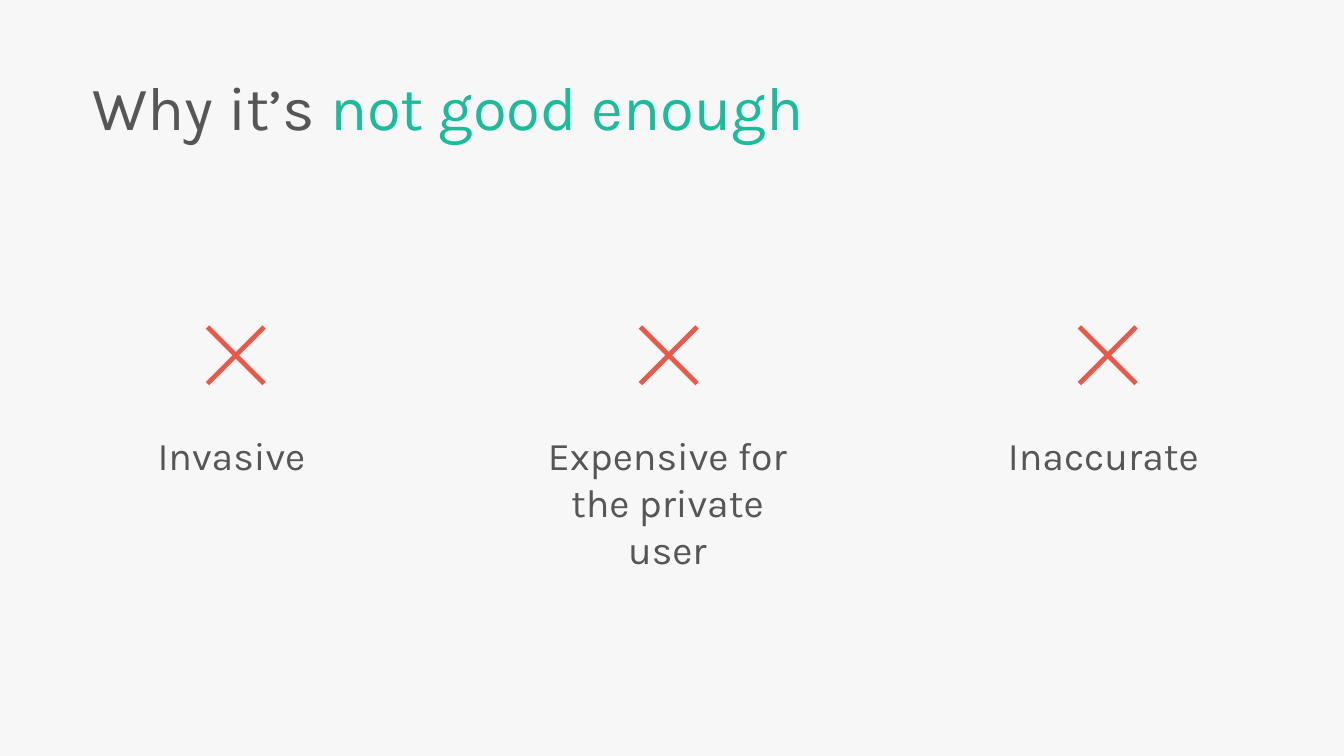
import pptx
import pptx.dml.color
import pptx.enum.text
import pptx.util

Pt = pptx.util.Pt
RGBColor = pptx.dml.color.RGBColor
PP_ALIGN = pptx.enum.text.PP_ALIGN

PAPER = RGBColor(0xF7, 0xF7, 0xF7)
INK = RGBColor(0x56, 0x56, 0x56)
GREEN = RGBColor(0x1A, 0xBC, 0x9C)
RED = RGBColor(0xE9, 0x58, 0x49)

COLUMN_LEFT, COLUMN_TOP, COLUMN_WIDTH, COLUMN_HEIGHT = 66.24, 232.5, 205.2, 149
COLUMN_PITCH = 311.4
DRAWBACKS = [
    ("Invasive", 102.24),
    ("Expensive for the private user", 100.08),
    ("Inaccurate", 102.24),
]


def add_span(para, text, size=28, color=INK):
    span = para.add_run()
    span.text = text
    span.font.name = "Karla"
    span.font.size = Pt(size)
    span.font.color.rgb = color


def prepare_frame(box, align):
    frame = box.text_frame
    frame.word_wrap = True
    frame.auto_size = pptx.enum.text.MSO_AUTO_SIZE.NONE
    frame.vertical_anchor = pptx.enum.text.MSO_ANCHOR.TOP
    frame.margin_left = Pt(0)
    frame.margin_right = Pt(7.2)
    frame.margin_top = frame.margin_bottom = Pt(3.6)
    para = frame.paragraphs[0]
    para.alignment = align
    return para


def add_title(page, left, top, width, height):
    box = page.shapes.title
    box.left, box.top, box.width, box.height = Pt(left), Pt(top), Pt(width), Pt(height)
    para = prepare_frame(box, PP_ALIGN.LEFT)
    para.line_spacing = 0.9
    para.space_before = Pt(0)
    add_span(para, "Why it’s ", size=44)
    add_span(para, "not good enough", size=44, color=GREEN)


def add_cross(page, center_x, center_y, reach=21.4, notch=2.4):
    tip = reach - notch
    corners = [
        (reach, -tip), (tip, -reach), (0, -notch),
        (-tip, -reach), (-reach, -tip), (-notch, 0),
        (-reach, tip), (-tip, reach), (0, notch),
        (tip, reach), (reach, tip), (notch, 0),
    ]
    points = [(Pt(center_x + x), Pt(center_y + y)) for x, y in corners]
    builder = page.shapes.build_freeform(*points[0])
    builder.add_line_segments(points[1:], close=True)
    cross = builder.convert_to_shape()
    cross.shadow.inherit = False
    cross.fill.solid()
    cross.fill.fore_color.rgb = RED
    cross.line.fill.background()


def add_drawback(page, left, top, width, height, text, cross_offset):
    add_cross(page, left + cross_offset, top + 21.3)
    label_drop = 72
    box = page.shapes.add_textbox(
        Pt(left), Pt(top + label_drop), Pt(width), Pt(height - label_drop))
    add_span(prepare_frame(box, PP_ALIGN.CENTER), text)


def main():
    deck = pptx.Presentation()
    deck.slide_width, deck.slide_height = Pt(960), Pt(540)
    page = deck.slides.add_slide(deck.slide_layouts.get_by_name("Title Only"))
    page.background.fill.solid()
    page.background.fill.fore_color.rgb = PAPER
    add_title(page, 66.24, 51.84, 520, 55.5)
    for column, (text, cross_offset) in enumerate(DRAWBACKS):
        left = COLUMN_LEFT + column * COLUMN_PITCH
        add_drawback(page, left, COLUMN_TOP, COLUMN_WIDTH, COLUMN_HEIGHT, text, cross_offset)
    deck.save("out.pptx")


if __name__ == "__main__":
    main()
